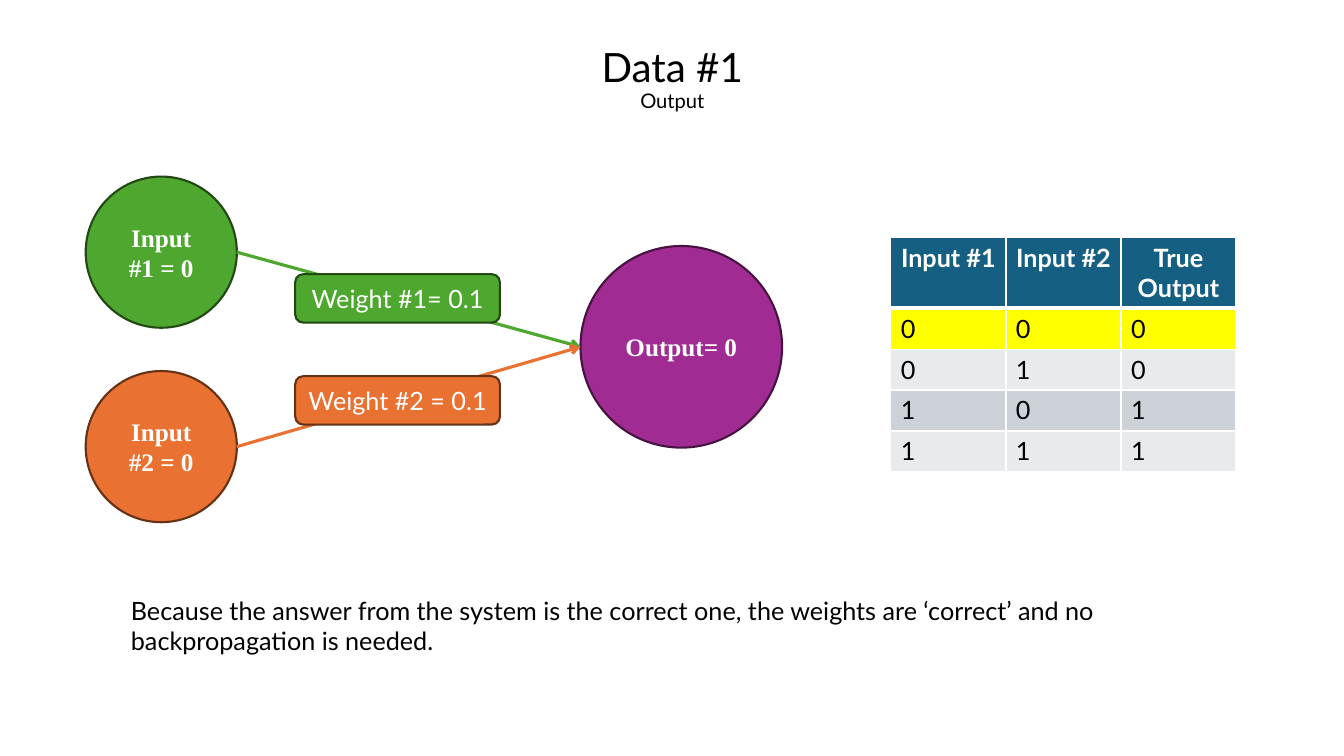
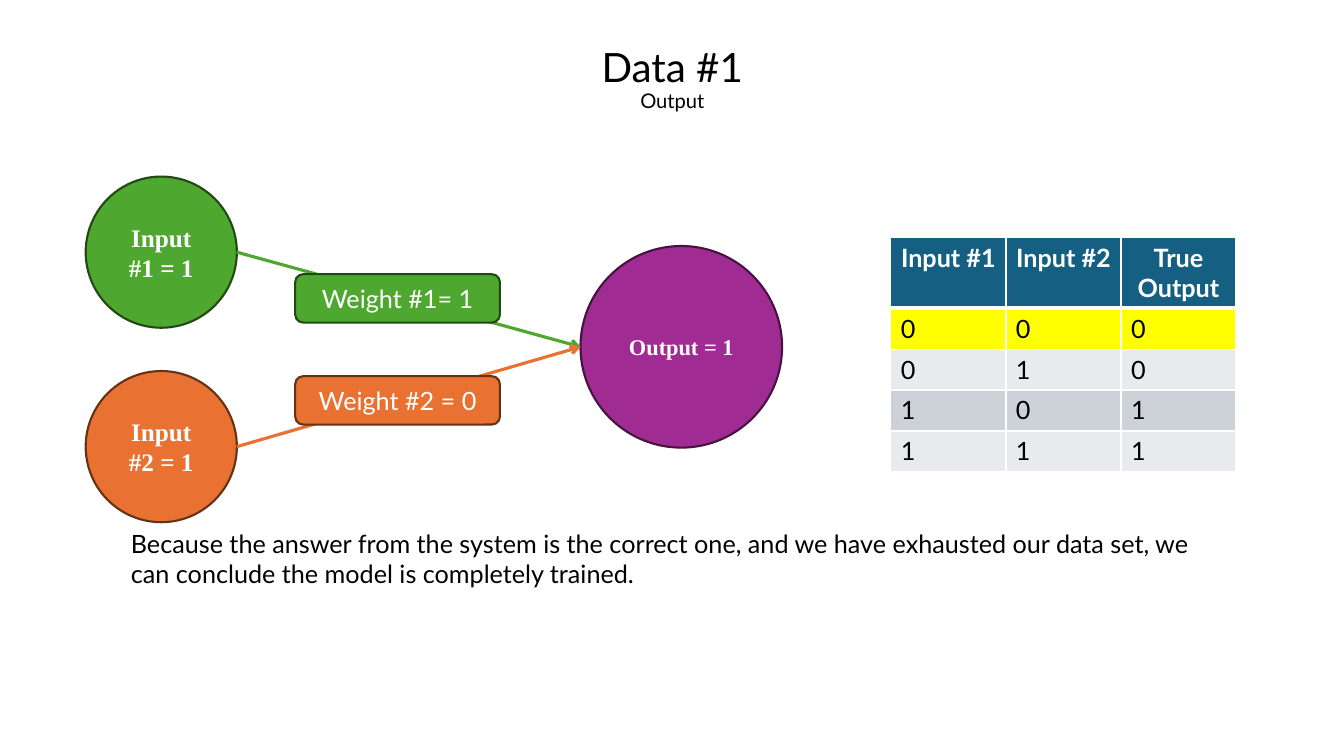
from lxml import etree
from pptx import Presentation
from pptx.dml.color import RGBColor
from pptx.enum.shapes import MSO_CONNECTOR, MSO_SHAPE
from pptx.enum.text import MSO_ANCHOR, PP_ALIGN
from pptx.oxml.ns import qn
from pptx.util import Cm, Pt

OVAL, ROUNDED = MSO_SHAPE.OVAL, MSO_SHAPE.ROUNDED_RECTANGLE
STRAIGHT = MSO_CONNECTOR.STRAIGHT
MIDDLE = MSO_ANCHOR.MIDDLE
LEFT, CENTER = PP_ALIGN.LEFT, PP_ALIGN.CENTER

COLORS = {
    "white": "FFFFFF",
    "black": "000000",
    "green": "4EA72E",
    "green_edge": "224914",
    "orange": "E97132",
    "orange_edge": "663216",
    "purple": "A02B93",
    "purple_edge": "461340",
    "header": "156082",
    "current": "FFFF00",
    "light": "E8EAED",
    "dark": "CCD2D8",
}
SANS, SERIF = "Lato", "Times New Roman"

TITLE_BOX = (2.34, 1.02, 29.21, 2.01)
NETWORK_ORIGIN = (2.16, 4.45)
TABLE_ORIGIN = (22.45, 5.99)
NOTE_LEFT, NOTE_WIDTH, NOTE_HEIGHT = 3.05, 28.24, 1.8

INPUT_SIZE, INPUT_STEP = 3.81, 4.9
OUTPUT_LEFT, OUTPUT_TOP, OUTPUT_SIZE = 12.47, 1.75, 5.08
WEIGHT_LEFT, WEIGHT_TOP, WEIGHT_STEP = 5.28, 2.46, 2.57
WEIGHT_WIDTH, WEIGHT_HEIGHT = 5.16, 1.22
BRANCH_COLORS = ("green", "orange")

COLUMN_WIDTH, HEADER_HEIGHT, ROW_HEIGHT = 2.9, 1.75, 1.03
TRUTH_TABLE = [
    ("Input #1", "Input #2", "True Output"),
    ("0", "0", "0"),
    ("0", "1", "0"),
    ("1", "0", "1"),
    ("1", "1", "1"),
]
ROW_FILLS = ("header", "current", "light", "dark", "light")

SLIDES = [
    {
        "inputs": ("Input #1 = 0", "Input #2 = 0"),
        "weights": ("Weight #1= 0.1", "Weight #2 = 0.1"),
        "output": "Output= 0",
        "output_points": 18,
        "note": "Because the answer from the system is the correct one, the weights "
                "are ‘correct’ and no backpropagation is needed.",
        "note_top": 14.88,
    },
    {
        "inputs": ("Input #1 = 1", "Input #2 = 1"),
        "weights": ("Weight #1= 1", "Weight #2 = 0"),
        "output": "Output = 1",
        "output_points": 16,
        "note": "Because the answer from the system is the correct one, and we have "
                "exhausted our data set, we can conclude the model is completely trained.",
        "note_top": 13.18,
    },
]


def rgb(color):
    return RGBColor.from_string(COLORS[color])


def style_font(font, points, color, face=SANS, bold=False):
    font.size = Pt(points)
    font.name = face
    font.bold = bold
    font.color.rgb = rgb(color)


def add_label(slide, kind, box, text, color, points=18, face=SANS, bold=False):
    label = slide.shapes.add_shape(kind, *map(Cm, box))
    label.shadow.inherit = False
    label.fill.solid()
    label.fill.fore_color.rgb = rgb(color)
    label.line.color.rgb = rgb(color + "_edge")
    label.line.width = Pt(1.5)
    frame = label.text_frame
    frame.word_wrap = True
    frame.vertical_anchor = MIDDLE
    paragraph = frame.paragraphs[0]
    paragraph.text = text
    paragraph.alignment = CENTER
    style_font(paragraph.font, points, "white", face, bold)


def add_arrow(slide, start, end, color):
    arrow = slide.shapes.add_connector(STRAIGHT, *map(Cm, start + end))
    arrow.line.color.rgb = rgb(color)
    arrow.line.width = Pt(2.25)
    etree.SubElement(arrow.line._get_or_add_ln(), qn("a:tailEnd"), type="arrow")
    etree.SubElement(arrow._element.spPr, qn("a:effectLst"))


def add_title(slide, box):
    frame = slide.shapes.add_textbox(*map(Cm, box)).text_frame
    frame.word_wrap = True
    frame.vertical_anchor = MIDDLE
    paragraph = frame.paragraphs[0]
    paragraph.alignment = CENTER
    paragraph.line_spacing = 0.9
    heading = paragraph.add_run()
    heading.text = "Data #1"
    style_font(heading.font, 28.8, "black")
    paragraph.add_line_break()
    subheading = paragraph.add_run()
    subheading.text = "Output"
    style_font(subheading.font, 14.4, "black")


def add_network(slide, origin, content):
    left, top = origin
    output_left, output_top = left + OUTPUT_LEFT, top + OUTPUT_TOP
    input_tops = [top + i * INPUT_STEP for i in range(len(BRANCH_COLORS))]
    for input_top, text, color in zip(input_tops, content["inputs"], BRANCH_COLORS):
        add_label(slide, OVAL, (left, input_top, INPUT_SIZE, INPUT_SIZE),
                  text, color, face=SERIF, bold=True)
    add_label(slide, OVAL, (output_left, output_top, OUTPUT_SIZE, OUTPUT_SIZE),
              content["output"], "purple", content["output_points"], SERIF, True)
    for input_top, color in zip(input_tops, BRANCH_COLORS):
        add_arrow(slide, (left + INPUT_SIZE, input_top + INPUT_SIZE / 2),
                  (output_left, output_top + OUTPUT_SIZE / 2), color)
    for i, (text, color) in enumerate(zip(content["weights"], BRANCH_COLORS)):
        box = (left + WEIGHT_LEFT, top + WEIGHT_TOP + i * WEIGHT_STEP,
               WEIGHT_WIDTH, WEIGHT_HEIGHT)
        add_label(slide, ROUNDED, box, text, color)


def set_borders(cell, top, bottom):
    properties = cell._tc.get_or_add_tcPr()
    for side, points in (("L", 1), ("R", 1), ("T", top), ("B", bottom)):
        border = etree.SubElement(properties, qn("a:ln" + side), w=str(Pt(points)))
        fill = etree.SubElement(border, qn("a:solidFill"))
        etree.SubElement(fill, qn("a:srgbClr"), val=COLORS["white"])


def add_truth_table(slide, origin):
    row_count, column_count = len(TRUTH_TABLE), len(TRUTH_TABLE[0])
    size = (column_count * COLUMN_WIDTH, HEADER_HEIGHT + (row_count - 1) * ROW_HEIGHT)
    table = slide.shapes.add_table(row_count, column_count, *map(Cm, origin + size)).table
    table.horz_banding = False
    for column in table.columns:
        column.width = Cm(COLUMN_WIDTH)
    for i, (values, fill) in enumerate(zip(TRUTH_TABLE, ROW_FILLS)):
        is_header = i == 0
        table.rows[i].height = Cm(HEADER_HEIGHT if is_header else ROW_HEIGHT)
        for j, value in enumerate(values):
            cell = table.cell(i, j)
            set_borders(cell, 3 if i == 1 else 1, 3 if is_header else 1)
            cell.fill.solid()
            cell.fill.fore_color.rgb = rgb(fill)
            paragraph = cell.text_frame.paragraphs[0]
            paragraph.text = value
            paragraph.alignment = CENTER if is_header else LEFT
            style_font(paragraph.font, 18, "white" if is_header else "black", bold=is_header)


def add_note(slide, box, text):
    frame = slide.shapes.add_textbox(*map(Cm, box)).text_frame
    frame.word_wrap = True
    paragraph = frame.paragraphs[0]
    paragraph.text = text
    style_font(paragraph.font, 18, "black")


def add_data_slide(deck, content):
    slide = deck.slides.add_slide(deck.slide_layouts[6])
    add_network(slide, NETWORK_ORIGIN, content)
    add_truth_table(slide, TABLE_ORIGIN)
    add_title(slide, TITLE_BOX)
    add_note(slide, (NOTE_LEFT, content["note_top"], NOTE_WIDTH, NOTE_HEIGHT), content["note"])


def main():
    deck = Presentation()
    deck.slide_width, deck.slide_height = Cm(33.87), Cm(19.05)
    for content in SLIDES:
        add_data_slide(deck, content)
    deck.save("out.pptx")


if __name__ == "__main__":
    main()
